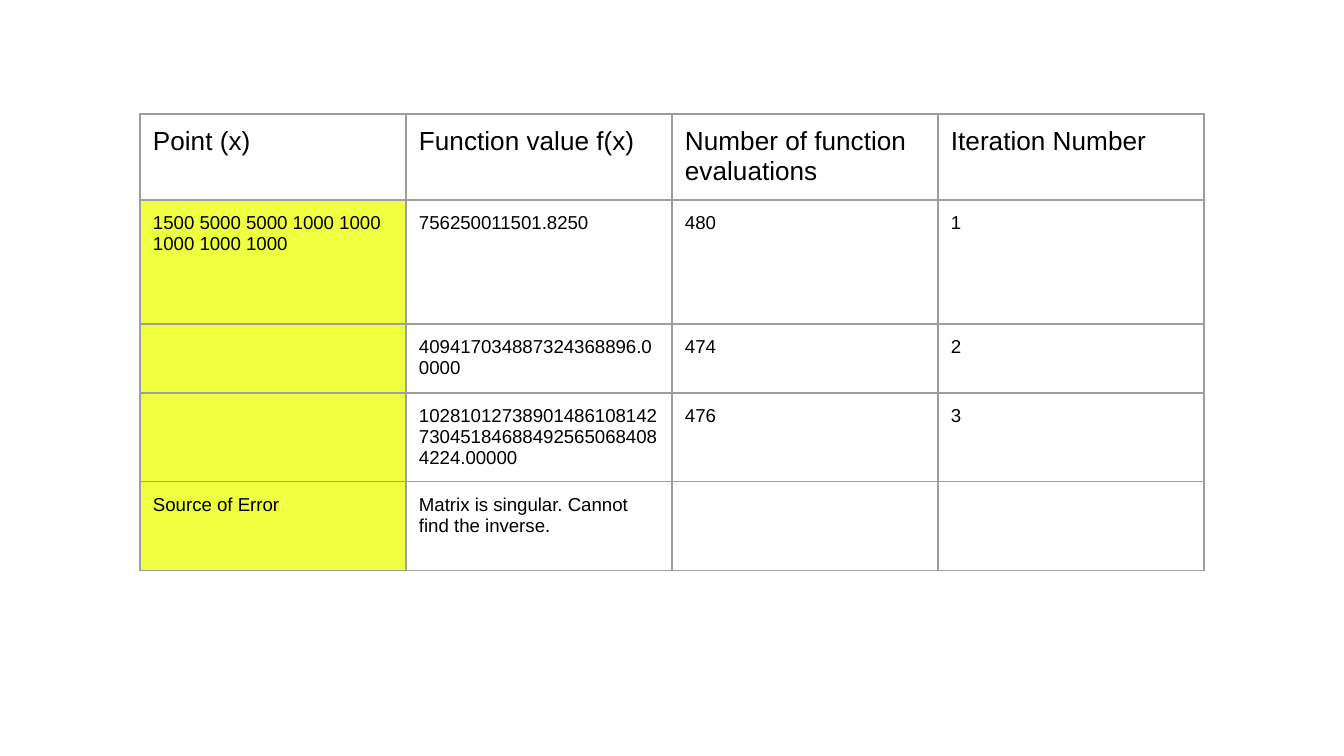
from lxml import etree
from pptx import Presentation
from pptx.dml.color import RGBColor
from pptx.enum.text import MSO_ANCHOR
from pptx.oxml.ns import qn
from pptx.util import Pt

TOP = MSO_ANCHOR.TOP
SCALE = 914400 / 134.4
FONT = "Arial"
INK, GREY, LIME = "000000", "9E9E9E", "EEFF41"
INSET = 13
HEADS = ["Point (x)", "Function value f(x)", "Number of function evaluations", "Iteration Number"]
ROWS = [
    ["1500 5000 5000 1000 1000 1000 1000 1000", "756250011501.8250", "480", "1"],
    ["", "409417034887324368896.00000", "474", "2"],
    ["", "10281012738901486108142730451846884925650684084224.00000", "476", "3"],
    ["Source of Error", "Matrix is singular. Cannot find the inverse.", "", ""],
]
HEIGHTS = [86, 124, 69, 89, 89]


def px(num):
    """Turn pixels into EMU."""
    return round(num * SCALE)


def color(code):
    """Turn a hex string into a colour."""
    return RGBColor.from_string(code)


def border(cell, code, width):
    """Draw all four sides of a cell."""
    props = cell._tc.get_or_add_tcPr()
    for side in ("lnL", "lnR", "lnT", "lnB"):
        line = etree.SubElement(props, qn(f"a:{side}"), w=str(Pt(width)))
        fill = etree.SubElement(line, qn("a:solidFill"))
        etree.SubElement(fill, qn("a:srgbClr"), val=code)


def write(cell, text, size, fill=None):
    """Style one cell and set its text."""
    cell.margin_left = cell.margin_right = px(INSET)
    cell.margin_top = cell.margin_bottom = px(INSET)
    cell.vertical_anchor = TOP
    border(cell, GREY, 0.75)
    if fill:
        cell.fill.solid()
        cell.fill.fore_color.rgb = color(fill)
    else:
        cell.fill.background()
    cell.text = text
    font = cell.text_frame.paragraphs[0].font
    font.name, font.size = FONT, Pt(size)
    font.color.rgb = color(INK)


def results(slide, left, top, width, heights):
    """Place the table of solver results."""
    data = [HEADS] + ROWS
    count = len(HEADS)
    frame = slide.shapes.add_table(
        len(data), count, px(left), px(top), px(width), px(sum(heights)))
    table = frame.table
    table.first_row = table.horz_banding = False
    for col in table.columns:
        col.width = px(width / count)
    for i, (row, high) in enumerate(zip(data, heights)):
        table.rows[i].height = px(high)
        for j, text in enumerate(row):
            fill = LIME if i and not j else None
            write(table.cell(i, j), text, 10 if i else 14, fill)


def main():
    """Build and save the slide."""
    deck = Presentation()
    deck.slide_width, deck.slide_height = px(1344), px(756)
    slide = deck.slides.add_slide(deck.slide_layouts[6])
    results(slide, 140, 114, 1064, HEIGHTS)
    deck.save("out.pptx")


if __name__ == "__main__":
    main()
